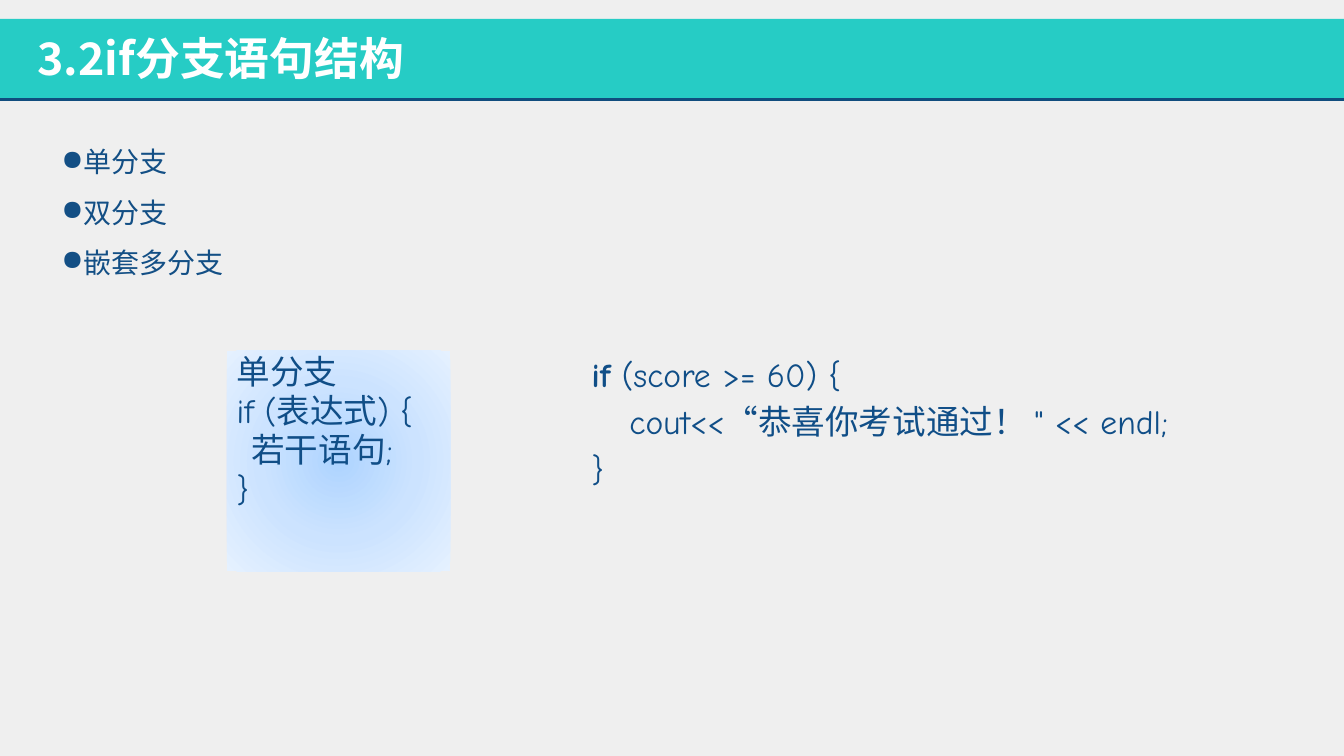
from dataclasses import dataclass

from lxml.etree import SubElement
from pptx import Presentation
from pptx.dml.color import RGBColor
from pptx.enum.shapes import MSO_CONNECTOR, MSO_SHAPE
from pptx.enum.text import MSO_ANCHOR, MSO_AUTO_SIZE, PP_ALIGN
from pptx.oxml.ns import qn
from pptx.util import Emu, Pt


@dataclass(frozen=True)
class Theme:
    background: str = "EFEFEF"
    band: str = "26CCC5"
    rule: str = "104D7E"
    title: str = "FFFFFF"
    topic: str = "134F85"
    code: str = "104E87"
    glow: tuple = ((0, "AED4FF"), (50, "CCE3FF"), (100, "E5F1FF"))
    title_size: int = 32
    topic_size: int = 20
    code_size: int = 24
    title_font: str = "Noto Sans CJK JP"
    body_font: str = "Noto Sans CJK SC"
    code_font: str = "Comic Neue"


THEME = Theme()


def px(length):
    """Turn pixels at 96 to the inch into EMU."""
    return Emu(length * 9525)


def rgb(value):
    return RGBColor.from_string(value)


def place(shape, left, top, width, height):
    shape.left, shape.top = px(left), px(top)
    shape.width, shape.height = px(width), px(height)


def write(shape, lines, size, color, font, asian_font=THEME.body_font,
          spacing=None, before=0, margin=0, bullet=None):
    """Each line is (first-line indent in px, [(text, bold), ...])."""
    frame = shape.text_frame
    frame.word_wrap = True
    frame.auto_size = MSO_AUTO_SIZE.NONE
    frame.vertical_anchor = MSO_ANCHOR.TOP
    for index, (indent, runs) in enumerate(lines):
        paragraph = frame.add_paragraph() if index else frame.paragraphs[0]
        paragraph.alignment = PP_ALIGN.LEFT
        paragraph.space_before = Pt(before)
        if spacing:
            paragraph.line_spacing = spacing
        properties = paragraph._p.get_or_add_pPr()
        properties.set("marL", str(px(margin)))
        properties.set("indent", str(px(indent)))
        if bullet:
            SubElement(properties, qn("a:buChar")).set("char", bullet)
        for text, bold in runs:
            run = paragraph.add_run()
            run.text = text
            run.font.size = Pt(size)
            run.font.bold = bold
            run.font.color.rgb = rgb(color)
            run.font.name = font
            asian = SubElement(run._r.get_or_add_rPr(), qn("a:ea"))
            asian.set("typeface", asian_font)


def add_rectangle(slide, *box):
    shape = slide.shapes.add_shape(MSO_SHAPE.RECTANGLE, *map(px, box))
    shape.shadow.inherit = False
    shape.line.fill.background()
    return shape


def add_text_box(slide, *box):
    return slide.shapes.add_textbox(*map(px, box))


def add_rule(slide, top, width):
    rule = slide.shapes.add_connector(
        MSO_CONNECTOR.STRAIGHT, px(0), px(top), px(width), px(top))
    rule.line.color.rgb = rgb(THEME.rule)
    rule.line.width = Pt(2)
    SubElement(rule._element.spPr, qn("a:effectLst"))


def fill_radial(shape, stops):
    """Give the shape a circular gradient that starts at its centre."""
    shape.fill.gradient()
    gradient = shape._element.spPr.find(qn("a:gradFill"))
    for child in list(gradient):
        gradient.remove(child)
    stop_list = SubElement(gradient, qn("a:gsLst"))
    for position, color in stops:
        stop = SubElement(stop_list, qn("a:gs"), pos=str(position * 1000))
        SubElement(stop, qn("a:srgbClr"), val=color)
    circle = SubElement(gradient, qn("a:path"), path="circle")
    SubElement(circle, qn("a:fillToRect"),
               {side: "50000" for side in "ltrb"})


def add_header(slide, text):
    band = add_rectangle(slide, 0, 18, 1280, 77)
    band.fill.solid()
    band.fill.fore_color.rgb = rgb(THEME.band)
    title = slide.shapes.title
    place(title, 26, 24, 731, 61)
    write(title, [(0, [(text, True)])], THEME.title_size, THEME.title,
          THEME.title_font, THEME.title_font)
    # Bring the title in front of the band
    slide.shapes._spTree.append(title._element)
    add_rule(slide, 95, 1280)


def main():
    presentation = Presentation()
    presentation.slide_width, presentation.slide_height = px(1280), px(720)
    slide = presentation.slides.add_slide(presentation.slide_layouts[5])
    slide.background.fill.solid()
    slide.background.fill.fore_color.rgb = rgb(THEME.background)

    add_header(slide, "3.2if分支语句结构")

    # Topics
    topics = ("单分支", "双分支", "嵌套多分支")
    write(add_text_box(slide, 49, 117, 270, 198),
          [(0, [(topic, False)]) for topic in topics],
          THEME.topic_size, THEME.topic, THEME.body_font,
          spacing=1.5, bullet="●")

    # Syntax of the single branch
    syntax = add_rectangle(slide, 216, 334, 213, 210)
    fill_radial(syntax, THEME.glow)
    write(syntax,
          [(-49, [("单分支", False)]),
           (-49, [("if (表达式) {", False)]),
           (-35, [("若干语句;", False)]),
           (-49, [("}", False)])],
          THEME.code_size, THEME.code, THEME.code_font,
          spacing=0.9, before=2, margin=49)

    # Example
    write(add_text_box(slide, 554, 332, 599, 180),
          [(-36, [("if", True), (" (score >= 60) {", False)]),
           (0, [("cout<<“恭喜你考试通过！ \" << endl;", False)]),
           (-36, [("}", False)])],
          THEME.code_size, THEME.code, THEME.code_font,
          before=5, margin=36)

    presentation.save("out.pptx")


if __name__ == "__main__":
    main()
